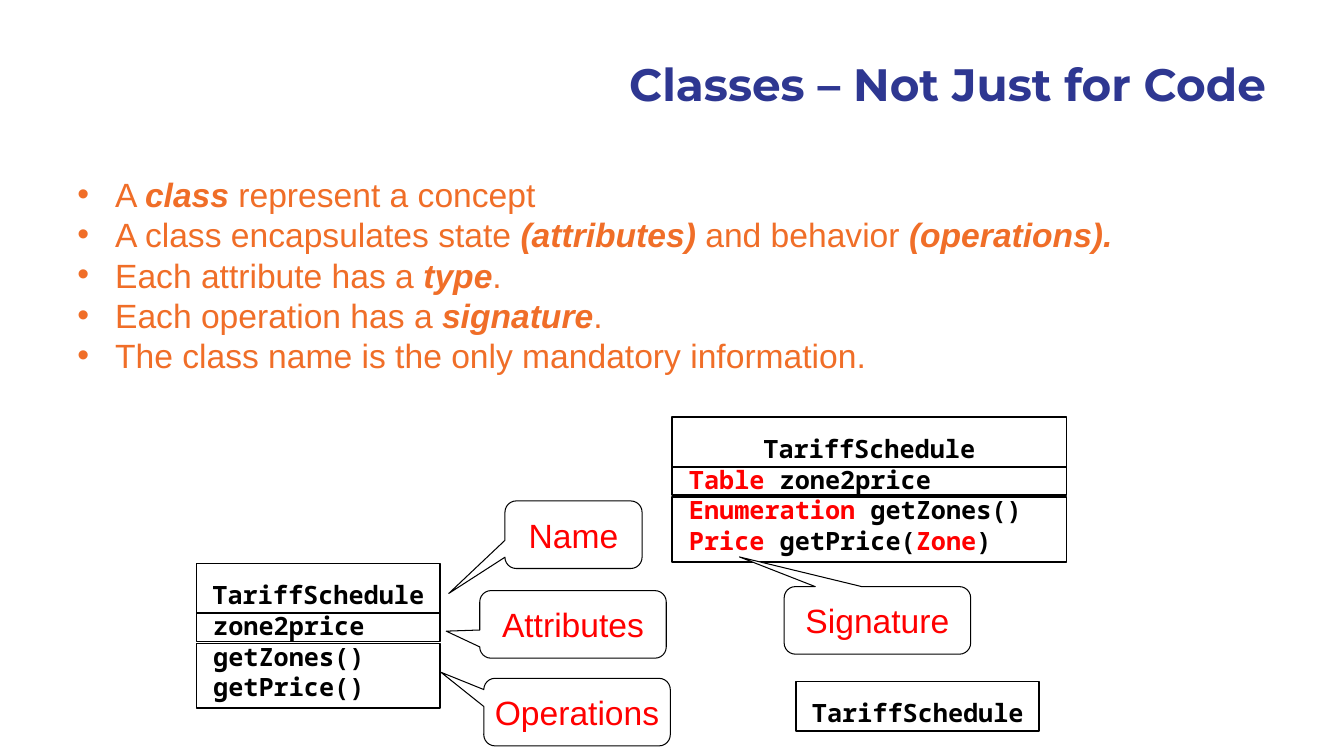
from pptx import Presentation
from pptx.dml.color import RGBColor
from pptx.enum.shapes import MSO_SHAPE
from pptx.enum.text import MSO_ANCHOR, MSO_AUTO_SIZE, PP_ALIGN
from pptx.util import Inches, Pt

BLACK = RGBColor(0x00, 0x00, 0x00)
WHITE = RGBColor(0xFF, 0xFF, 0xFF)
RED = RGBColor(0xFF, 0x00, 0x00)
ORANGE = RGBColor(0xF0, 0x6E, 0x28)
INDIGO = RGBColor(0x2E, 0x37, 0x91)

presentation = Presentation()
presentation.slide_width = Inches(13.33)
presentation.slide_height = Inches(7.5)
slide = presentation.slides.add_slide(presentation.slide_layouts[1])

# Grid of 40 columns and 22.5 rows: square cells of a third of an inch
COLUMN = presentation.slide_width / 40
ROW = presentation.slide_height / 22.5


def cells(left, top, width, height):
    return (round(left * COLUMN), round(top * ROW),
            round(width * COLUMN), round(height * ROW))


def add_code(area, lines, alignment, inset):
    """Write lines of (text, color) runs in a monospaced text box."""
    frame = slide.shapes.add_textbox(*area).text_frame
    frame.word_wrap = inset
    if not inset:
        frame.margin_left = frame.margin_right = 0
        frame.margin_top = frame.margin_bottom = 0
    for index, runs in enumerate(lines):
        paragraph = frame.paragraphs[0] if index == 0 else frame.add_paragraph()
        paragraph.alignment = alignment
        paragraph.line_spacing = Pt(21.6)
        paragraph.font.name = "Noto Sans Mono"
        paragraph.font.size = Pt(18)
        paragraph.font.bold = True
        for text, color in runs:
            run = paragraph.add_run()
            run.text = text
            run.font.color.rgb = color


# Title
title = slide.shapes.title
title.left, title.top, title.width, title.height = cells(17.88, 1.53, 20.1, 2.64)
title.text_frame.text = "Classes – Not Just for Code"
title.text_frame.vertical_anchor = MSO_ANCHOR.TOP
title.text_frame.auto_size = MSO_AUTO_SIZE.NONE
paragraph = title.text_frame.paragraphs[0]
paragraph.alignment = PP_ALIGN.RIGHT
paragraph.font.name = "Montserrat"
paragraph.font.size = Pt(32.4)
paragraph.font.bold = True
paragraph.font.color.rgb = INDIGO

# Bullet list: every second run is emphasized
bullets = [
    ["A ", "class", " represent a concept"],
    ["A class encapsulates state ", "(attributes)", " and behavior ", "(operations)."],
    ["Each attribute has a ", "type", "."],
    ["Each operation has a ", "signature", "."],
    ["The class name is the only mandatory information."],
]
body = slide.placeholders[1]
body.left, body.top, body.width, body.height = cells(2, 5.25, 36, 14.85)
body.text_frame.auto_size = MSO_AUTO_SIZE.NONE
for index, texts in enumerate(bullets):
    paragraph = (body.text_frame.paragraphs[0] if index == 0
                 else body.text_frame.add_paragraph())
    paragraph.line_spacing = 0.8
    paragraph.space_before = Pt(5.8)
    paragraph.font.name = "Arial"
    paragraph.font.size = Pt(24)
    paragraph.font.color.rgb = ORANGE
    for position, text in enumerate(texts):
        run = paragraph.add_run()
        run.text = text
        run.font.bold = run.font.italic = position % 2 == 1

# Class diagrams: left, top, width, member lines
short_members = [[(text, BLACK)] for text in ("zone2price", "getZones()", "getPrice()")]
typed_members = [
    [("Table", RED), (" zone2price", BLACK)],
    [("Enumeration", RED), (" getZones()", BLACK)],
    [("Price", RED), (" getPrice(", BLACK), ("Zone", RED), (")", BLACK)],
]
diagrams = [
    (5.85, 16.77, 7.25, short_members),
    (20.01, 12.42, 11.73, typed_members),
    (23.7, 20.28, 7.23, []),
]
compartments = [(0, 1.47), (1.48, 0.84), (2.38, 1.92)]  # offset, height
NAME_WIDTH = 6.33
for left, top, width, members in diagrams:
    if members:
        add_code(cells(left + 0.2, top + 1.26, width, 3), members, PP_ALIGN.LEFT, True)
    for offset, height in compartments if members else compartments[:1]:
        compartment = slide.shapes.add_shape(
            MSO_SHAPE.RECTANGLE, *cells(left, top + offset, width, height))
        compartment.shadow.inherit = False
        compartment.fill.background()
        compartment.line.color.rgb = BLACK
        compartment.line.width = Pt(1.25)
    add_code(cells(left + (width - NAME_WIDTH) / 2, top + 0.48, NAME_WIDTH, 0.9),
             [[("TariffSchedule", BLACK)]], PP_ALIGN.CENTER, False)

# Callouts: label, left, top, width, pointer tip relative to the center
callouts = [
    ("Name", 15.03, 14.91, 4.08, -0.91, 0.87),
    ("Attributes", 14.28, 17.58, 5.55, -0.68, 0.1),
    ("Operations", 14.4, 20.19, 5.55, -0.73, -0.59),
    ("Signature", 23.34, 17.46, 5.55, -0.74, -0.94),
]
for label, left, top, width, tip_x, tip_y in callouts:
    callout = slide.shapes.add_shape(
        MSO_SHAPE.ROUNDED_RECTANGULAR_CALLOUT, *cells(left, top, width, 2.01))
    callout.adjustments[0] = tip_x
    callout.adjustments[1] = tip_y
    callout.shadow.inherit = False
    callout.fill.solid()
    callout.fill.fore_color.rgb = WHITE
    callout.line.color.rgb = BLACK
    callout.line.width = Pt(0.75)
    frame = callout.text_frame
    frame.text = label
    frame.word_wrap = False
    frame.vertical_anchor = MSO_ANCHOR.MIDDLE
    paragraph = frame.paragraphs[0]
    paragraph.alignment = PP_ALIGN.CENTER
    paragraph.font.name = "Arial"
    paragraph.font.size = Pt(24)
    paragraph.font.color.rgb = RED

presentation.save("out.pptx")
